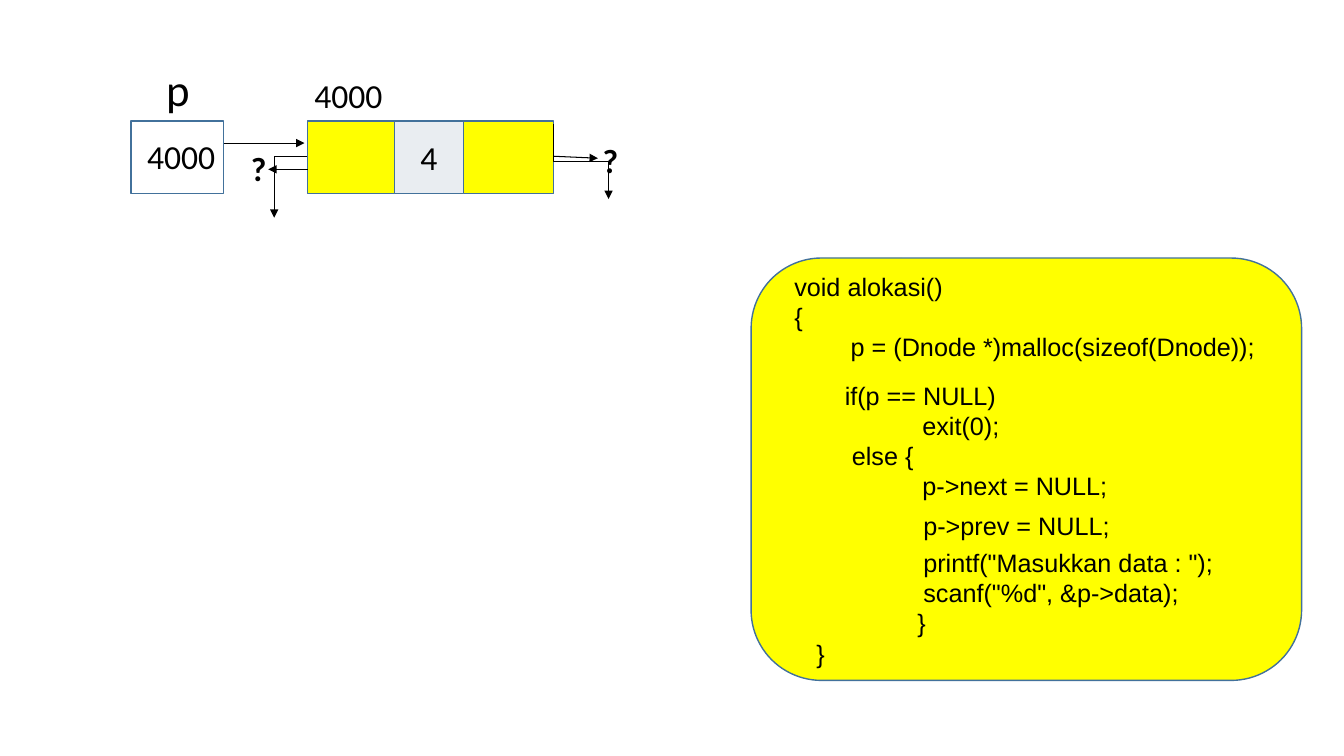
from dataclasses import dataclass

from lxml.etree import SubElement
from pptx import Presentation
from pptx.dml.color import RGBColor
from pptx.enum.shapes import MSO_CONNECTOR as CONN, MSO_SHAPE as SHAPE
from pptx.enum.text import MSO_ANCHOR, PP_ALIGN
from pptx.oxml.ns import qn
from pptx.util import Pt

PX = 9144  # 100 px to the inch
COLORS = {"yellow": "FFFF00", "grey": "E9EDF1", "white": "FFFFFF",
          "edge": "42719B", "ink": "000000"}


@dataclass
class Box:
    x: int
    y: int
    w: int
    h: int
    fill: str
    text: str = ""
    kind: SHAPE = SHAPE.RECTANGLE


@dataclass
class Label:
    x: int
    y: int
    w: int
    h: int
    lines: list[tuple[int, str]]  # indent in px, text
    size: int = 24
    font: str = "Calibri"
    bold: bool = False


@dataclass
class Arrow:
    x1: int
    y1: int
    x2: int
    y2: int
    preset: str = "line"
    rotation: int = 0


def rgb(name: str) -> RGBColor:
    return RGBColor.from_string(COLORS[name])


def style_font(p, size: int, name: str, bold: bool = False) -> None:
    p.font.size, p.font.name, p.font.bold = Pt(size), name, bold
    p.font.color.rgb = rgb("ink")


def draw_box(s, b: Box) -> None:
    sp = s.shapes.add_shape(b.kind, b.x * PX, b.y * PX, b.w * PX, b.h * PX)
    sp.shadow.inherit = False
    sp.fill.solid()
    sp.fill.fore_color.rgb = rgb(b.fill)
    sp.line.color.rgb = rgb("edge")
    sp.line.width = Pt(1)
    if b.text:
        tf = sp.text_frame
        tf.text = b.text
        tf.vertical_anchor = MSO_ANCHOR.MIDDLE
        p = tf.paragraphs[0]
        p.alignment = PP_ALIGN.CENTER
        style_font(p, 24, "Calibri")


def draw_label(s, t: Label) -> None:
    sp = s.shapes.add_textbox(t.x * PX, t.y * PX, t.w * PX, t.h * PX)
    tf = sp.text_frame
    tf.word_wrap = True
    for i, (indent, text) in enumerate(t.lines):
        p = tf.add_paragraph() if i else tf.paragraphs[0]
        p.text = text
        style_font(p, t.size, t.font, t.bold)
        pPr = p._p.get_or_add_pPr()
        pPr.set("marL", str(indent * PX))
        pPr.set("indent", "0")


def draw_arrow(s, a: Arrow) -> None:
    kind = CONN.STRAIGHT if a.preset == "line" else CONN.ELBOW
    cxn = s.shapes.add_connector(kind, a.x1 * PX, a.y1 * PX, a.x2 * PX, a.y2 * PX)
    cxn.line.color.rgb = rgb("ink")
    cxn.line.width = Pt(0.75)
    SubElement(cxn.line._get_or_add_ln(), qn("a:tailEnd"), type="triangle")
    spPr = cxn._element.spPr
    SubElement(spPr, qn("a:effectLst"))
    spPr.find(qn("a:prstGeom")).set("prst", a.preset)
    if a.rotation:
        spPr.find(qn("a:xfrm")).set("rot", str(a.rotation * 60000))


BOXES = [
    Box(305, 120, 244, 72, "yellow"),
    Box(391, 120, 69, 72, "grey", "4"),
    Box(130, 120, 92, 72, "white"),
    Box(745, 256, 546, 419, "yellow", kind=SHAPE.ROUNDED_RECTANGLE),
]
ARROWS = [
    Arrow(222, 142, 302, 142),
    Arrow(549, 155, 593, 157),
    Arrow(305, 168, 266, 168),
    Arrow(613, 133, 539, 188, "bentConnector3", 270),
    Arrow(305, 155, 272, 216, "bentConnector2"),
]
NODE_LABELS = [
    Label(302, 69, 101, 50, [(0, "4000")]),
    Label(155, 56, 43, 64, [(0, "p")], size=32),
    Label(136, 130, 101, 50, [(0, "4000")]),
    Label(588, 134, 33, 50, [(0, "?")], bold=True),
    Label(239, 142, 33, 50, [(0, "?")], bold=True),
]
CODE = [
    Label(778, 264, 490, 101, [(0, "void alokasi()"), (0, "{"),
                               (56, "p = (Dnode *)malloc(sizeof(Dnode));")], 18, "Arial"),
    Label(822, 372, 289, 131, [(6, "if(p == NULL)"), (83, "exit(0);"), (13, "else {"),
                               (83, "p->next = NULL;")], 18, "Arial"),
    Label(906, 501, 220, 40, [(0, "p->prev = NULL;")], 18, "Arial"),
    Label(800, 538, 416, 131, [(106, 'printf("Masukkan data : ");'),
                               (106, 'scanf("%d", &p->data);'),
                               (100, "}"), (0, "}")], 18, "Arial"),
]


def main() -> None:
    prs = Presentation()
    prs.slide_width, prs.slide_height = 1333 * PX, 750 * PX
    s = prs.slides.add_slide(prs.slide_layouts[6])

    # Pointer, node cells and code panel
    for box in BOXES:
        draw_box(s, box)
    # Links between the cells
    for arrow in ARROWS:
        draw_arrow(s, arrow)
    # Node values and code listing
    for label in NODE_LABELS + CODE:
        draw_label(s, label)

    prs.save("out.pptx")


if __name__ == "__main__":
    main()
